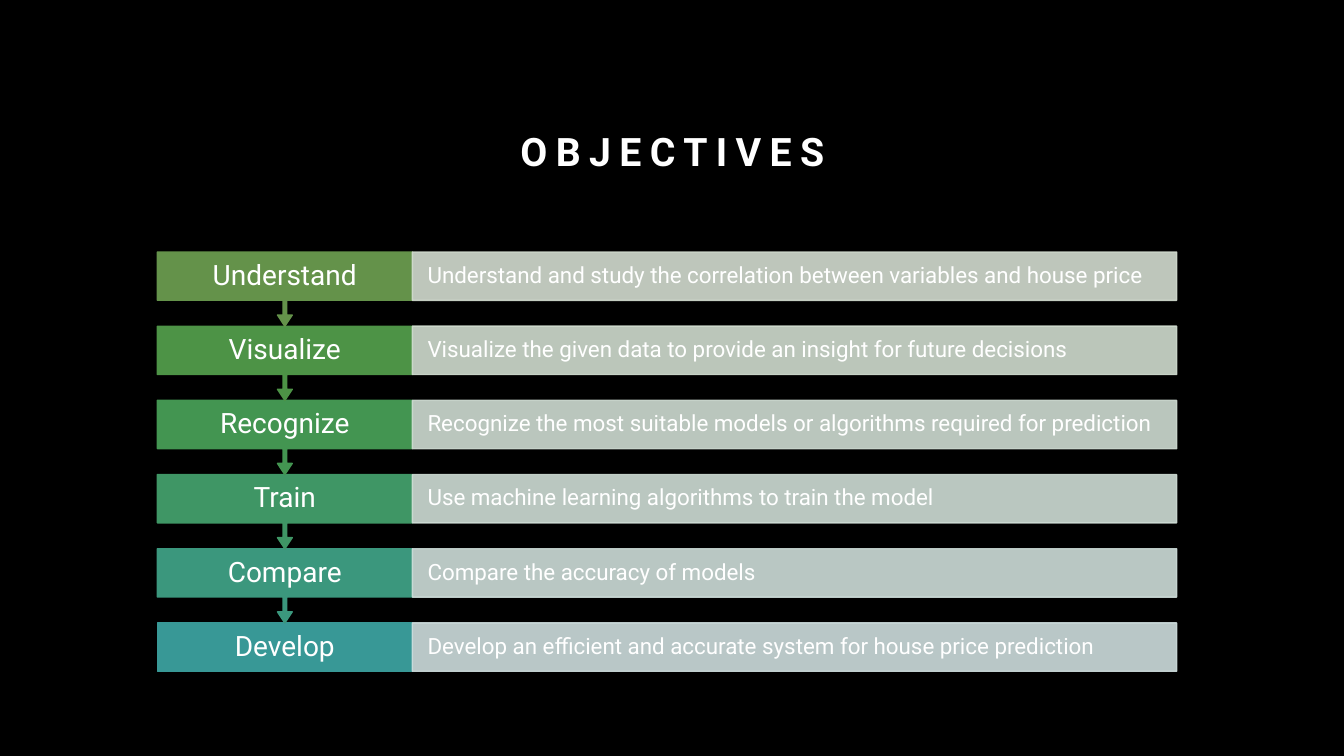
from lxml.etree import SubElement
from pptx import Presentation
from pptx.dml.color import RGBColor
from pptx.enum.shapes import MSO_SHAPE as Kind
from pptx.enum.text import MSO_ANCHOR as Anchor, PP_ALIGN as Align
from pptx.oxml.ns import qn
from pptx.util import Inches, Pt

STEPS = [
    ("Understand", "Understand and study the correlation between variables and house price", "64924A", "D3DCD0"),
    ("Visualize", "Visualize the given data to provide an insight for future decisions", "4D9346", "D0DCCF"),
    ("Recognize", "Recognize the most suitable models or algorithms required for prediction", "439551", "CFDCD2"),
    ("Train", "Use machine learning algorithms to train the model", "3F9665", "CFDDD5"),
    ("Compare", "Compare the accuracy of models", "3B977D", "CEDDD9"),
    ("Develop", "Develop an efficient and accurate system for house price prediction", "389896", "CEDDDD"),
]
TOP, LAST, BAR = 2.5, 6.18, 0.48
PITCH = (LAST - TOP) / (len(STEPS) - 1)
LEFT, MID, TAG, WIDE = 1.56, 4.09, 2.53, 7.58


def color(code):
    return RGBColor.from_string(code)


class Deck:
    font = "Roboto"
    ink = "FFFFFF"

    def __init__(self, slide):
        self.slide = slide
        back = slide.background.fill
        back.solid()
        back.fore_color.rgb = color("000000")

    def label(self, shape, text, size=16, bold=False, align=Align.LEFT, anchor=Anchor.MIDDLE,
              lead=0.9, pad=(0.15, 0.22), track=0):
        frame = shape.text_frame
        frame.word_wrap = True
        frame.vertical_anchor = anchor
        frame.margin_left = frame.margin_right = Inches(pad[0])
        frame.margin_top = frame.margin_bottom = Inches(pad[1])
        para = frame.paragraphs[0]
        para.alignment = align
        para.line_spacing = lead
        run = para.add_run()
        run.text = text
        font = run.font
        font.name = self.font
        font.size = Pt(size)
        font.bold = bold
        font.color.rgb = color(self.ink)
        if track:
            para._p.r_lst[0].get_or_add_rPr().set("spc", str(track * 100))

    def text(self, box, text, **style):
        shape = self.slide.shapes.add_textbox(*map(Inches, box))
        self.label(shape, text, **style)

    def block(self, kind, box, tint, alpha=100):
        shape = self.slide.shapes.add_shape(kind, *map(Inches, box))
        shape.shadow.inherit = False
        shape.line.width = Pt(1)
        for fill in (shape.fill, shape.line.fill):
            fill.solid()
            fill.fore_color.rgb = color(tint)
        if alpha < 100:
            for node in shape._element.spPr.iter(qn("a:srgbClr")):
                SubElement(node, qn("a:alpha")).set("val", str(alpha * 1000))
        return shape

    def arrow(self, box, tint):
        shape = self.block(Kind.UP_ARROW_CALLOUT, box, tint)
        shape.rotation = 180
        for spot, size in enumerate((0.05, 0.1, 0.15, 0.65)):
            shape.adjustments[spot] = size

    def step(self, row, name, goal, tint, pale):
        top = TOP + row * PITCH
        if row < len(STEPS) - 1:
            self.arrow((LEFT, top, TAG, PITCH), tint)
        else:
            self.block(Kind.RECTANGLE, (LEFT, top, TAG, BAR), tint)
        self.text((LEFT, top, TAG, BAR), name, size=20, align=Align.CENTER, pad=(0.18, 0.16))
        bar = self.block(Kind.RECTANGLE, (MID, top, WIDE, BAR), pale, alpha=90)
        self.label(bar, goal)


def main():
    show = Presentation()
    show.slide_width = Inches(13.33)
    show.slide_height = Inches(7.5)
    deck = Deck(show.slides.add_slide(show.slide_layouts[6]))
    deck.text((1.67, 0.83, 10, 0.95), "OBJECTIVES", size=28, bold=True, align=Align.CENTER,
              anchor=Anchor.BOTTOM, lead=1.2, pad=(0.1, 0.05), track=6)
    for row, step in reversed(list(enumerate(STEPS))):
        deck.step(row, *step)
    show.save("out.pptx")


if __name__ == "__main__":
    main()
